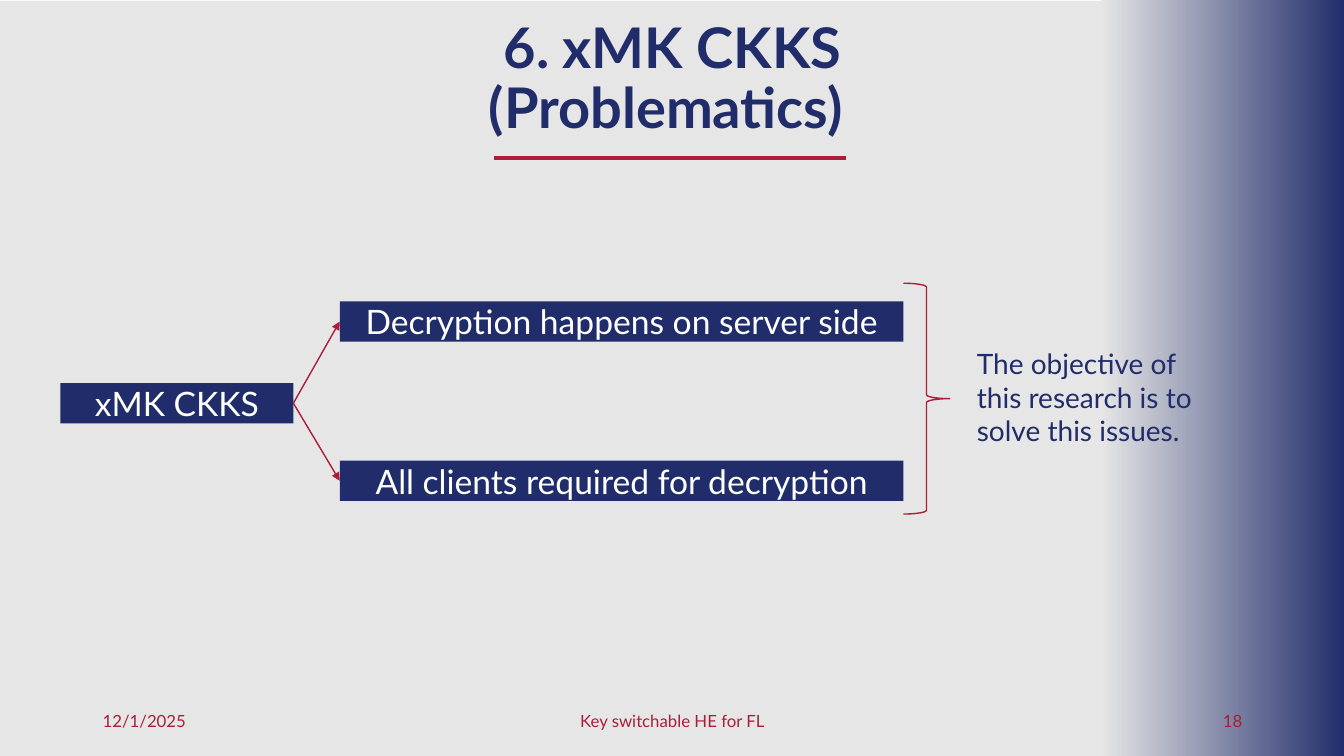
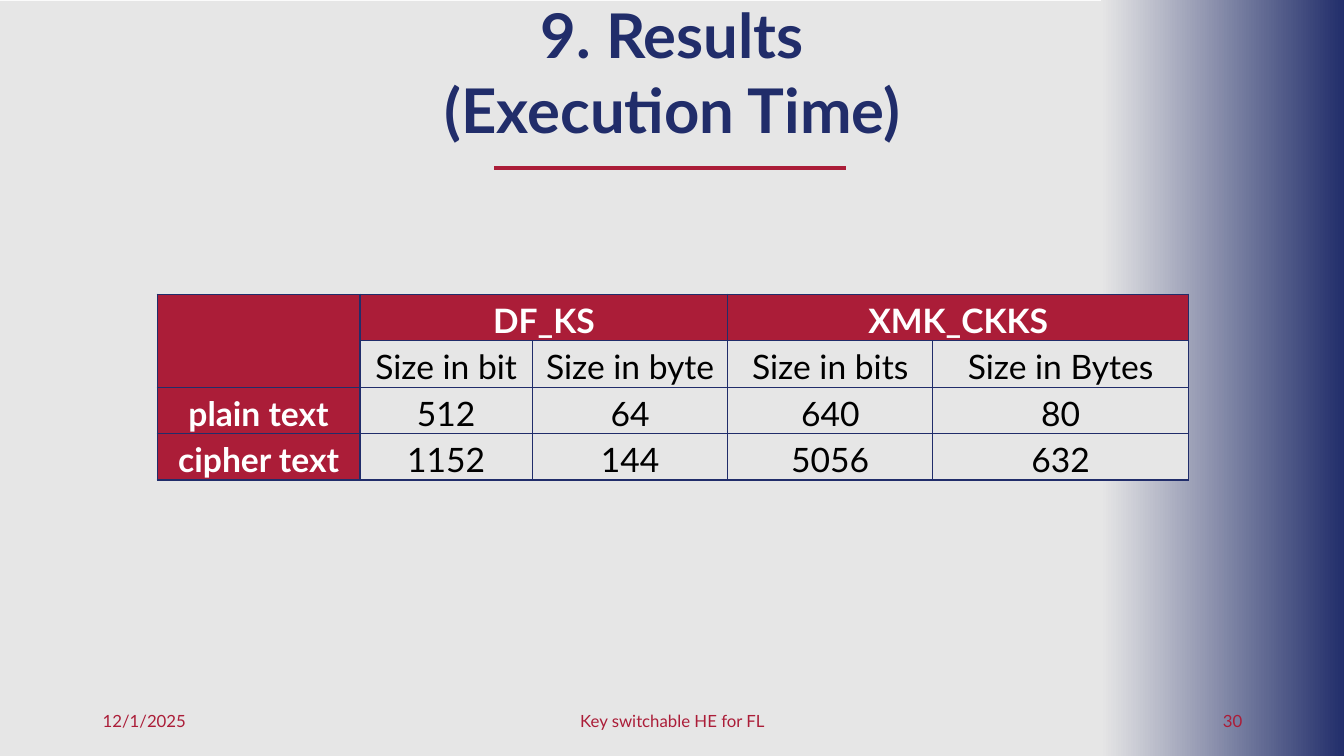
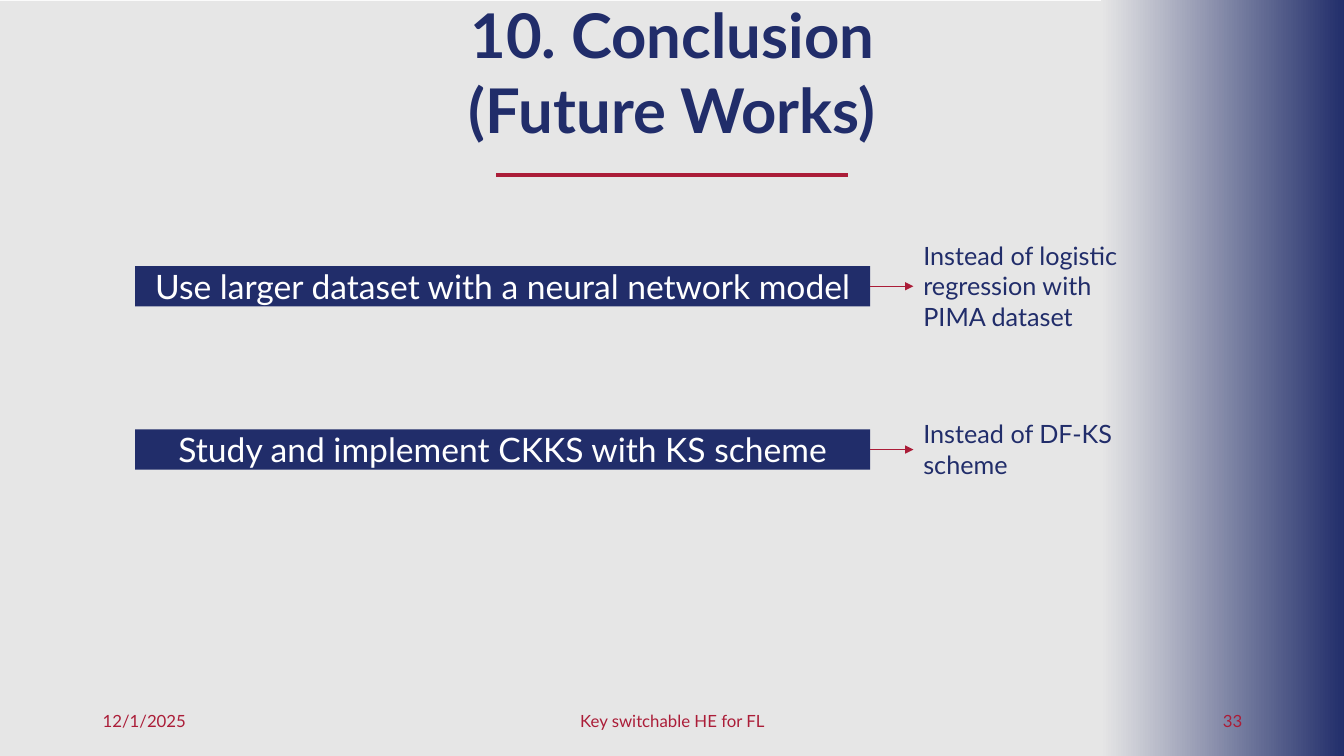
import lxml.etree
import pptx
import pptx.dml.color
import pptx.enum.shapes
import pptx.enum.text
import pptx.oxml.ns
import pptx.util

Inches = pptx.util.Inches
Pt = pptx.util.Pt
Shape = pptx.enum.shapes.MSO_SHAPE
Align = pptx.enum.text.PP_ALIGN
Anchor = pptx.enum.text.MSO_ANCHOR
qn = pptx.oxml.ns.qn

# Shared style
FONT = "Lato"
NAVY, CRIMSON, PALE, WHITE, BLACK = "212D6A", "AB1D38", "E6E6E6", "FFFFFF", "000000"
WIDTH, HEIGHT = 13.33, 7.5
BAR_HEIGHT = 0.4
TOP, LEFT, BOTTOM, RIGHT = range(4)


def color(value):
    return pptx.dml.color.RGBColor.from_string(value)


def inches(*lengths):
    return [Inches(length) for length in lengths]


# Text
def write(frame, lines, size, ink, bold=False, align=Align.LEFT,
          anchor=Anchor.TOP, spacing=None, after=None):
    frame.word_wrap = True
    frame.vertical_anchor = anchor
    for index, line in enumerate(lines):
        para = frame.add_paragraph() if index else frame.paragraphs[0]
        para.alignment = align
        if spacing is not None:
            para.line_spacing = spacing
        if after is not None:
            para.space_after = Pt(after)
        span = para.add_run()
        span.text = line
        span.font.name = FONT
        span.font.size = Pt(size)
        span.font.bold = bold
        span.font.color.rgb = color(ink)


def add_text(page, at, text, size, ink, **style):
    box = page.shapes.add_textbox(*inches(*at))
    write(box.text_frame, [text], size, ink, **style)
    return box


# Shapes and lines
def add_shape(page, kind, at, fill=None, line=None):
    shape = page.shapes.add_shape(kind, *inches(*at))
    shape.shadow.inherit = False
    if fill:
        shape.fill.solid()
        shape.fill.fore_color.rgb = color(fill)
    else:
        shape.fill.background()
    if line:
        shape.line.color.rgb = color(line)
        shape.line.width = Pt(1)
    else:
        shape.line.fill.background()
    return shape


def add_bar(page, left, top, width, text):
    bar = add_shape(page, Shape.RECTANGLE, (left, top, width, BAR_HEIGHT), NAVY)
    write(bar.text_frame, [text], 24, WHITE, align=Align.CENTER, anchor=Anchor.MIDDLE)
    return bar


def add_line(page, start, end, width):
    line = page.shapes.add_connector(
        pptx.enum.shapes.MSO_CONNECTOR.STRAIGHT, *inches(*start, *end))
    line.line.color.rgb = color(CRIMSON)
    line.line.width = Pt(width)
    lxml.etree.SubElement(line._element.spPr, qn("a:effectLst"))
    return line


def add_arrow(page, source, target):
    arrow = add_line(page, (0, 0), (1, 1), 1)
    arrow.begin_connect(source, RIGHT)
    arrow.end_connect(target, LEFT)
    lxml.etree.SubElement(arrow.line._get_or_add_ln(), qn("a:tailEnd"), type="triangle")


# Page frame: background, side band, footer, title and its rule
def add_page(deck, number, title_lines, title_at, title_size, rule_left, rule_top):
    page = deck.slides.add_slide(deck.slide_layouts[5])
    add_shape(page, Shape.RECTANGLE, (0, 0.01, WIDTH, HEIGHT), PALE)
    band = add_shape(page, Shape.RECTANGLE, (10.92, 0, 2.42, HEIGHT))
    band.fill.gradient()
    band.fill.gradient_angle = 0
    for stop, position, tint in zip(band.fill.gradient_stops, (0, 1), (PALE, NAVY)):
        stop.position = position
        stop.color.rgb = color(tint)

    footers = (
        (0.92, 3, "12/1/2025", Align.LEFT),
        (4.42, 4.5, "Key switchable HE for FL", Align.CENTER),
        (9.42, 3, str(number), Align.RIGHT),
    )
    for left, width, text, align in footers:
        add_text(page, (left, 6.95, width, 0.4), text, 12, CRIMSON,
                 align=align, anchor=Anchor.MIDDLE)

    title = page.shapes.title
    title.left, title.top, title.width, title.height = inches(*title_at)
    title.text_frame.auto_size = pptx.enum.text.MSO_AUTO_SIZE.NONE
    write(title.text_frame, title_lines, title_size, NAVY, bold=True,
          align=Align.CENTER, anchor=Anchor.MIDDLE, spacing=0.9, after=6)
    page.shapes._spTree.append(title._element)  # bring in front of the background
    add_line(page, (rule_left, rule_top), (rule_left + 3.49, rule_top), 3)
    return page


# Table
def border_cell(cell):
    properties = cell._tc.get_or_add_tcPr()
    for side in ("lnL", "lnR", "lnT", "lnB"):
        edge = lxml.etree.SubElement(properties, qn("a:" + side), w=str(Pt(1)))
        fill = lxml.etree.SubElement(edge, qn("a:solidFill"))
        lxml.etree.SubElement(fill, qn("a:srgbClr"), val=NAVY)


def add_size_table(page, left, top, widths, row_height, rows):
    table = page.shapes.add_table(
        len(rows), len(widths),
        *inches(left, top, sum(widths), row_height * len(rows))).table
    table.first_row = table.horz_banding = False
    for column, width in zip(table.columns, widths):
        column.width = Inches(width)
    for row_index, row in enumerate(rows):
        for column_index, text in enumerate(row):
            cell = table.cell(row_index, column_index)
            header = row_index == 0 or column_index == 0
            border_cell(cell)
            cell.fill.solid()
            cell.fill.fore_color.rgb = color(CRIMSON if header else PALE)
            cell.margin_left = cell.margin_right = Inches(0.07)
            cell.margin_top = cell.margin_bottom = 0
            cell.vertical_anchor = Anchor.BOTTOM
            if text:
                write(cell.text_frame, [text], 24, WHITE if header else BLACK,
                      bold=header, align=Align.CENTER, anchor=None,
                      spacing=1.15, after=10)
    for first, last in (((0, 0), (1, 0)), ((0, 1), (0, 2)), ((0, 3), (0, 4))):
        table.cell(*first).merge(table.cell(*last))


# Slides
def add_problem_page(deck):
    page = add_page(deck, 18, ["6. xMK CKKS (Problematics) "],
                    (3.31, 0.01, 6.72, 1.57), 40, 4.9, 1.57)
    scheme = add_bar(page, 0.6, 3.8, 2.31, "xMK CKKS")
    problems = ((2.99, "Decryption happens on server side"),
                (4.57, "All clients required for decryption"))
    for top, text in problems:
        add_arrow(page, scheme, add_bar(page, 3.37, top, 5.59, text))
    add_shape(page, Shape.RIGHT_BRACE, (8.96, 2.81, 0.46, 2.29), line=CRIMSON)
    add_text(page, (9.59, 3.39, 2.65, 1.11),
             "The objective of this research is to solve this issues.", 20, NAVY)


def add_results_page(deck):
    page = add_page(deck, 30, ["9. Results", "(Execution Time)"],
                    (3.43, 0, 6.48, 1.51), 44, 4.9, 1.67)
    add_size_table(page, 1.56, 2.92, (2.01, 1.71, 1.94, 2.03, 2.54), 0.46, (
        ("", "DF_KS", "", "XMK_CKKS", ""),
        ("", "Size in bit", "Size in byte", "Size in bits", "Size in Bytes"),
        ("plain text", "512", "64", "640", "80"),
        ("cipher text", "1152", "144", "5056", "632"),
    ))


def add_conclusion_page(deck):
    page = add_page(deck, 33, ["10. Conclusion", "(Future Works)"],
                    (3.43, 0, 6.48, 1.51), 44, 4.92, 1.74)
    works = (
        (2.64, "Use larger dataset with a neural network model",
         1.01, "Instead of logistic regression with PIMA dataset"),
        (4.26, "Study and implement CKKS with KS scheme",
         0.71, "Instead of DF-KS scheme"),
    )
    for top, work, note_height, note in works:
        bar = add_bar(page, 1.34, top, 7.29, work)
        note_top = top + (BAR_HEIGHT - note_height) / 2
        note_box = add_text(page, (9.06, note_top, 2.13, note_height), note, 18, NAVY)
        add_arrow(page, bar, note_box)


def main():
    deck = pptx.Presentation()
    deck.slide_width, deck.slide_height = inches(WIDTH, HEIGHT)
    add_problem_page(deck)
    add_results_page(deck)
    add_conclusion_page(deck)
    deck.save("out.pptx")


if __name__ == "__main__":
    main()
